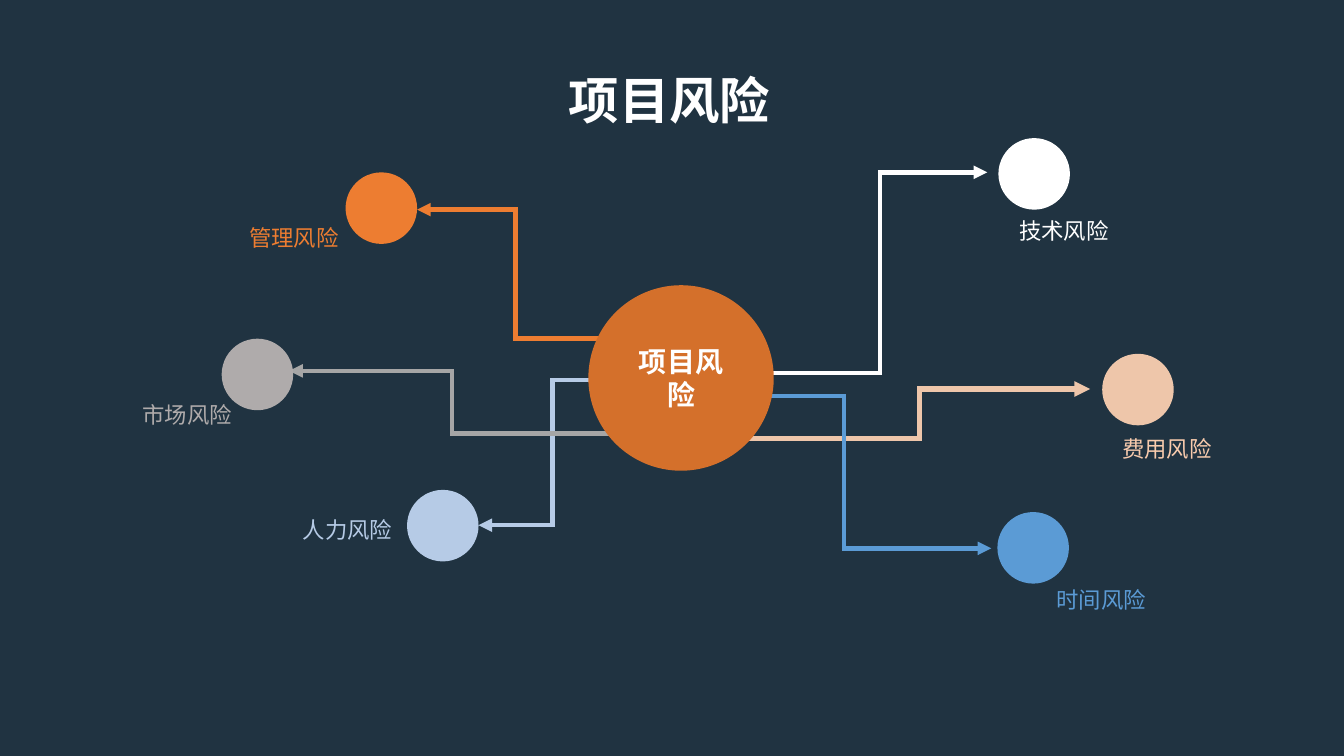
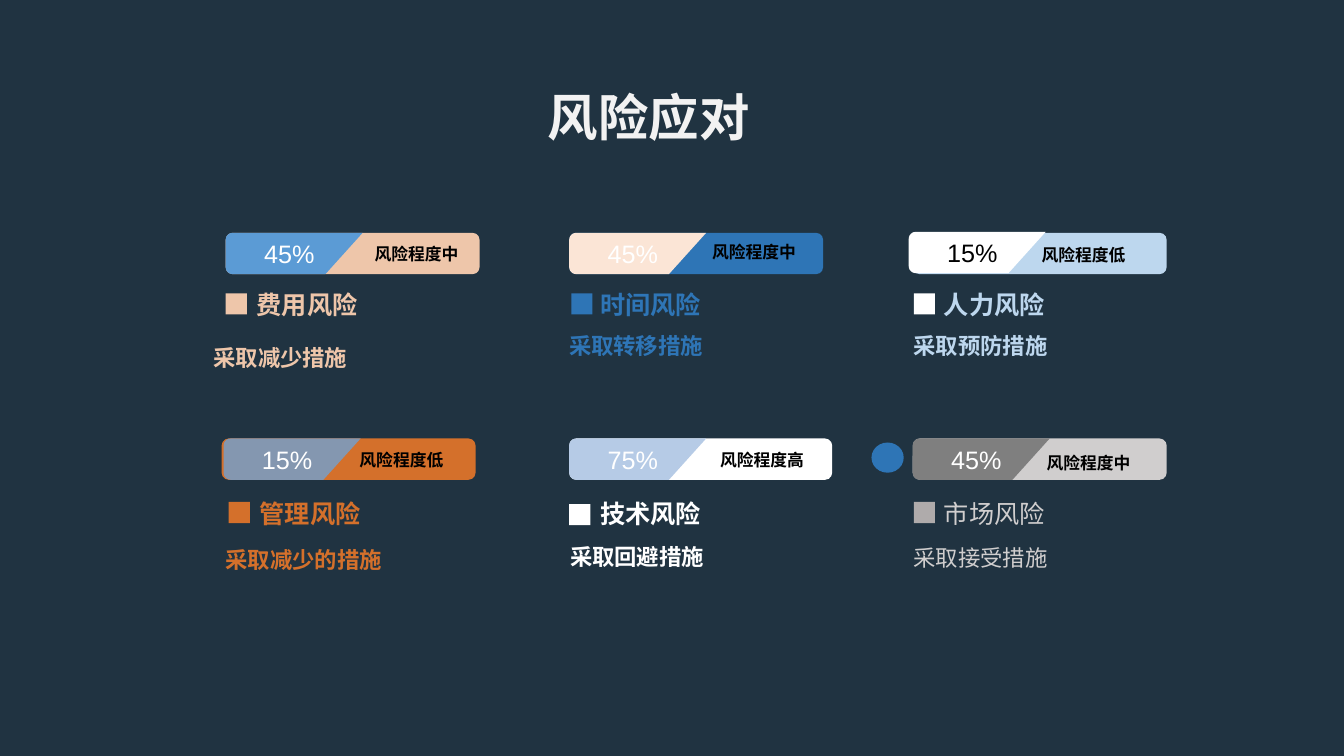
import math
from dataclasses import dataclass

import lxml.etree
import pptx
import pptx.dml.color
import pptx.enum.shapes
import pptx.enum.text
import pptx.oxml.ns
import pptx.util

RGB = pptx.dml.color.RGBColor.from_string
PRESET = pptx.enum.shapes.MSO_SHAPE
ALIGN = pptx.enum.text.PP_ALIGN
qn = pptx.oxml.ns.qn

# All positions count cells of a square grid, 133.4 columns by 75 rows.
CELL = pptx.util.Inches(0.1)
COLUMNS, ROWS = 133.4, 75


@dataclass(frozen=True)
class Theme:
    night: str = "203341"
    white: str = "FFFFFF"
    mist: str = "F2F2F2"
    black: str = "000000"
    rust: str = "D4702B"
    orange: str = "ED7D31"
    peach: str = "EEC6AA"
    apricot: str = "F8CBAD"
    cream: str = "FBE5D6"
    blue: str = "5B9BD5"
    deep_blue: str = "2E75B6"
    pale_blue: str = "BDD7EE"
    ice: str = "B6CBE6"
    slate: str = "8497B0"
    dark_gray: str = "7F7F7F"
    mid_gray: str = "A6A6A6"
    warm_gray: str = "AFABAB"
    light_gray: str = "D0CECE"
    text_font: str = "Noto Sans CJK SC"
    number_font: str = "Arial"
    title_size: int = 36
    hub_size: int = 20
    heading_size: int = 18
    body_size: int = 16
    level_size: int = 12


T = Theme()


def add(slide, box, preset=None, colour=None):
    """Add a filled preset shape, or a text box when no preset is given."""
    left, top, width, height = (round(cells * CELL) for cells in box)
    if preset is None:
        return slide.shapes.add_textbox(left, top, width, height)
    shape = slide.shapes.add_shape(preset, left, top, width, height)
    shape.shadow.inherit = False
    shape.fill.solid()
    shape.fill.fore_color.rgb = RGB(colour)
    shape.line.fill.background()
    return shape


def write(shape, text, size, colour, bold=False, align=ALIGN.LEFT, face=T.text_font):
    shape.text_frame.word_wrap = True
    paragraph = shape.text_frame.paragraphs[0]
    paragraph.text = text
    paragraph.alignment = align
    font = paragraph.font
    font.size = pptx.util.Pt(size)
    font.bold = bold
    font.color.rgb = RGB(colour)
    font.name = face
    defaults = paragraph._p.pPr.find(qn("a:defRPr"))
    lxml.etree.SubElement(defaults, qn("a:ea")).set("typeface", face)


deck = pptx.Presentation()
deck.slide_width = round(COLUMNS * CELL)
deck.slide_height = ROWS * CELL
backdrop = deck.slide_master.background.fill
backdrop.solid()
backdrop.fore_color.rgb = RGB(T.night)

titles = [
    ("项目风险", (39.3, 6.4, 54.3, 5.7), T.white, ALIGN.CENTER),
    ("风险应对", (53.4, 8.1, 45.2, 5.7), T.mist, ALIGN.LEFT),
]
slides = []
for text, box, colour, align in titles:
    slide = deck.slides.add_slide(deck.slide_layouts[6])
    write(add(slide, box), text, T.title_size, colour, True, align)
    slides.append(slide)
risk_map, responses = slides

# Risk map: a hub with an arrow to each risk.
NODE, LABEL_WIDTH, LABEL_HEIGHT = 7.1, 23, 4.1
# name, node colour, line colour, label colour, arrow start, arrow end,
# bend as a share of the width, line weight, node place, label place, alignment
risks = [
    ("费用风险", T.peach, T.peach, T.apricot, (74.3, 43.5), (108.2, 38.6), 0.5, 3.75,
     (109.4, 35.1), (110.4, 42.7), ALIGN.LEFT),
    ("人力风险", T.ice, T.ice, T.ice, (62.2, 37.7), (47.5, 52.1), 0.5, 3.25,
     (40.4, 48.6), (16.9, 50.7), ALIGN.RIGHT),
    ("时间风险", T.blue, T.blue, T.blue, (74.8, 39.3), (98.4, 54.4), 0.38, 3.25,
     (99, 50.8), (103.9, 57.7), ALIGN.LEFT),
    ("市场风险", T.warm_gray, T.mid_gray, T.warm_gray, (61, 43), (28.7, 36.8), 0.5, 3.25,
     (22, 33.6), (1, 39.3), ALIGN.RIGHT),
    ("管理风险", T.orange, T.orange, T.orange, (61, 33.6), (41.4, 20.8), 0.5, 3.25,
     (34.3, 17.1), (11.6, 21.7), ALIGN.RIGHT),
    ("技术风险", T.white, T.white, T.white, (76.7, 37), (98, 17.1), 0.5, 3.25,
     (99.1, 13.7), (100.2, 21), ALIGN.LEFT),
]
for (name, node_colour, line_colour, label_colour, start, end, bend, weight,
     node_place, label_place, align) in risks:
    arrow = risk_map.shapes.add_connector(
        pptx.enum.shapes.MSO_CONNECTOR.ELBOW,
        *(round(cells * CELL) for cells in start + end))
    arrow.line.color.rgb = RGB(line_colour)
    arrow.line.width = pptx.util.Pt(weight)
    properties = arrow._element.spPr
    stroke = properties.find(qn("a:ln"))
    lxml.etree.SubElement(stroke, qn("a:miter")).set("lim", "800000")
    lxml.etree.SubElement(stroke, qn("a:tailEnd")).set("type", "triangle")
    lxml.etree.SubElement(properties, qn("a:effectLst"))
    guides = properties.find(qn("a:prstGeom")).get_or_add_avLst()
    guide = lxml.etree.SubElement(guides, qn("a:gd"))
    guide.set("name", "adj1")
    guide.set("fmla", f"val {round(bend * 100000)}")

    add(risk_map, (*node_place, NODE, NODE), PRESET.OVAL, node_colour)
    label = add(risk_map, (*label_place, LABEL_WIDTH, LABEL_HEIGHT))
    write(label, name, T.body_size, label_colour, align=align)

hub = add(risk_map, (58.4, 28.3, 18.4, 18.4), PRESET.OVAL, T.rust)
write(hub, "项目风险", T.hub_size, T.white, True, ALIGN.CENTER)


# Responses: three columns and two rows of cards.
@dataclass
class Card:
    """One risk; pairs are offsets in cells from the card's corner or caption row."""
    percent: str
    level: str
    heading: str
    action: str
    tab_colour: str
    bar_colour: str
    text_colour: str
    marker_colour: str
    level_offset: tuple
    action_offset: tuple
    marker_offset: tuple = (0.1, 0.9)
    heading_offset: float = 2.1
    tab_offset: tuple = (0, 0)
    bar_offset: float = 0
    bar_width: float = 25.2
    percent_colour: str = T.white
    bold: bool = True


cards = [
    Card("45%", "风险程度中", "费用风险", "采取减少措施",
         T.blue, T.peach, T.peach, T.peach, (13.8, 0.6), (-2.2, 5.4),
         marker_offset=(0, 0.9)),
    Card("45%", "风险程度中", "时间风险", "采取转移措施",
         T.cream, T.deep_blue, T.deep_blue, T.deep_blue, (13.2, 0.4), (-1, 4.3),
         marker_offset=(0.2, 0.9)),
    Card("15%", "风险程度低", "人力风险", "采取预防措施",
         T.white, T.pale_blue, T.pale_blue, T.white, (11.8, 0.7), (-0.9, 4.3),
         tab_offset=(-0.4, -0.1), percent_colour=T.black),
    Card("15%", "风险程度低", "管理风险", "采取减少的措施",
         T.slate, T.rust, T.rust, T.rust, (12.3, 0.6), (-1, 4.8),
         marker_offset=(0.3, 0.9), heading_offset=2.4,
         tab_offset=(-0.2, 0), bar_offset=-0.4),
    Card("75%", "风险程度高", "技术风险", "采取回避措施",
         T.ice, T.white, T.white, T.white, (14, 0.6), (-0.9, 4.5),
         marker_offset=(0, 1.1), bar_width=26.1),
    Card("45%", "风险程度中", "市场风险", "采取接受措施",
         T.dark_gray, T.light_gray, T.light_gray, T.warm_gray, (12.3, 0.9), (-0.9, 4.6),
         bold=False),
]
BAR_HEIGHT, TAB_WIDTH, SLANT, CORNER = 4.1, 13.6, 3.7, 0.7
tab_outline = [(TAB_WIDTH, 0), (TAB_WIDTH - SLANT, BAR_HEIGHT)]
for centre, first_angle in ((BAR_HEIGHT - CORNER, 90), (CORNER, 180)):
    for angle in range(first_angle, first_angle + 91, 15):
        tab_outline.append((CORNER + CORNER * math.cos(math.radians(angle)),
                            centre + CORNER * math.sin(math.radians(angle))))

for index, card in enumerate(cards):
    row, column = divmod(index, 3)
    left, top = 22.4 + 34.1 * column, 23.1 + 20.4 * row
    caption = 28.2 + 20.7 * row

    bar = add(responses, (left + card.bar_offset, top, card.bar_width, BAR_HEIGHT),
              PRESET.ROUNDED_RECTANGLE, card.bar_colour)
    bar.adjustments[0] = 0.17

    tab_left, tab_top = left + card.tab_offset[0], top + card.tab_offset[1]
    corners = [(round((tab_left + x) * CELL), round((tab_top + y) * CELL))
               for x, y in tab_outline]
    pen = responses.shapes.build_freeform(*corners[0])
    pen.add_line_segments(corners[1:], close=True)
    tab = pen.convert_to_shape()
    tab.shadow.inherit = False
    tab.fill.solid()
    tab.fill.fore_color.rgb = RGB(card.tab_colour)
    tab.line.fill.background()
    tab.text_frame.margin_left = 0
    tab.text_frame.vertical_anchor = pptx.enum.text.MSO_ANCHOR.MIDDLE
    write(tab, card.percent, T.heading_size, card.percent_colour,
          align=ALIGN.CENTER, face=T.number_font)

    level = add(responses, (left + card.level_offset[0], top + card.level_offset[1], 17, 3))
    write(level, card.level, T.level_size, T.black, True)
    add(responses, (left + card.marker_offset[0], caption + card.marker_offset[1], 2.1, 2.1),
        PRESET.RECTANGLE, card.marker_colour)
    heading = add(responses, (left + card.heading_offset, caption, 23.1, 4))
    write(heading, card.heading, T.heading_size, card.text_colour, card.bold)
    action = add(responses, (left + card.action_offset[0],
                             caption + card.action_offset[1], 26.2, 7.1))
    write(action, card.action, T.body_size, card.text_colour, card.bold)

add(responses, (86.5, 43.9, 3.2, 3), PRESET.OVAL, T.deep_blue)

deck.save("out.pptx")
